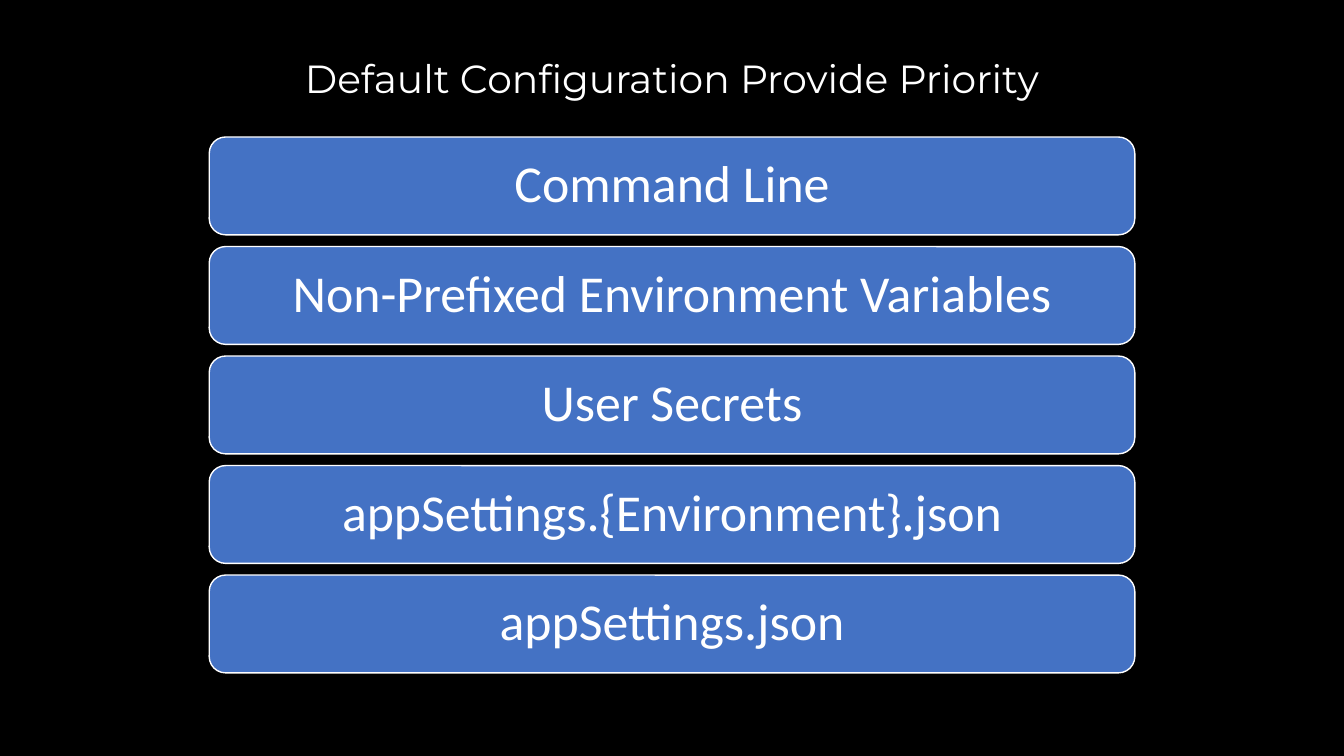
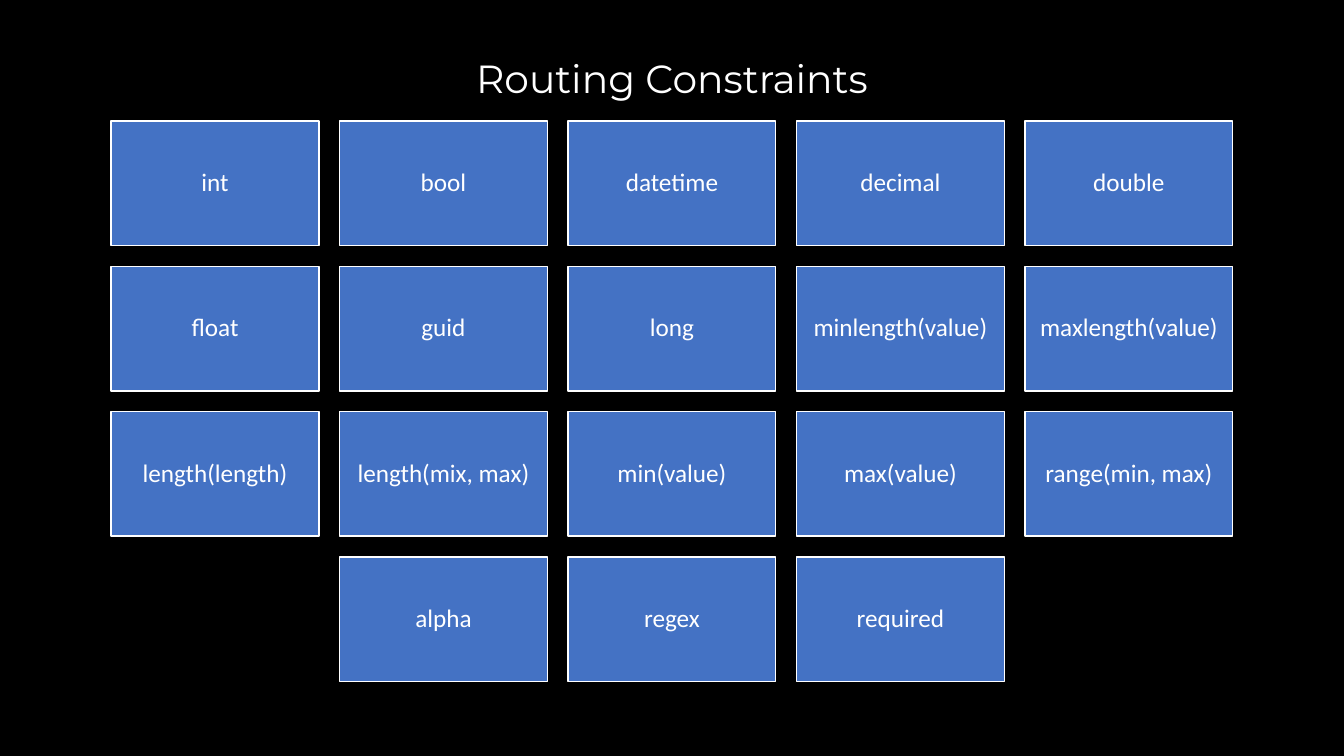
from dataclasses import dataclass

from pptx import Presentation
from pptx.dml.color import RGBColor
from pptx.enum.shapes import MSO_SHAPE
from pptx.enum.text import MSO_ANCHOR, PP_ALIGN
from pptx.util import Inches, Pt

WIDE, HIGH = 13.33, 7.5


# Colours, fonts and type sizes
@dataclass(frozen=True)
class Theme:
    back: RGBColor = RGBColor(0x00, 0x00, 0x00)
    box: RGBColor = RGBColor(0x44, 0x72, 0xC4)
    ink: RGBColor = RGBColor(0xFF, 0xFF, 0xFF)
    head_font: str = "Montserrat"
    body_font: str = "Calibri"
    head: int = 28
    bar: int = 37
    tile: int = 18
    line: int = 1


THEME = Theme()

SOURCES = [
    ["Command Line"],
    ["Non-Prefixed Environment Variables"],
    ["User Secrets"],
    ["appSettings.{Environment}.json"],
    ["appSettings.json"],
]

RULES = [
    ["int", "bool", "datetime", "decimal", "double"],
    ["float", "guid", "long", "minlength(value)", "maxlength(value)"],
    ["length(length)", "length(mix, max)", "min(value)", "max(value)",
     "range(min, max)"],
    ["alpha", "regex", "required"],
]


def write(shape, text, font, size, inset):
    """Centre one line of text in a shape."""
    frame = shape.text_frame
    frame.text = text
    frame.word_wrap = True
    frame.vertical_anchor = MSO_ANCHOR.MIDDLE
    frame.margin_left = frame.margin_right = Inches(inset)
    frame.margin_top = frame.margin_bottom = Inches(inset)
    para = frame.paragraphs[0]
    para.alignment = PP_ALIGN.CENTER
    para.line_spacing = 0.9
    para.font.name = font
    para.font.size = Pt(size)
    para.font.color.rgb = THEME.ink


def add_page(deck, title):
    """Start a blank slide with a centred title."""
    page = deck.slides.add_slide(deck.slide_layouts[6])
    width = 11.5
    area = page.shapes.add_textbox(
        Inches((WIDE - width) / 2), Inches(0.4), Inches(width), Inches(0.8))
    write(area, title, THEME.head_font, THEME.head, 0.05)
    return page


def add_box(page, kind, place, text, size, inset):
    """Add one filled, outlined box with its label."""
    box = page.shapes.add_shape(kind, *map(Inches, place))
    box.shadow.inherit = False
    box.fill.solid()
    box.fill.fore_color.rgb = THEME.box
    box.line.color.rgb = THEME.ink
    box.line.width = Pt(THEME.line)
    write(box, text, THEME.body_font, size, inset)


def add_grid(page, rows, kind, top, width, height, gap, size, inset):
    """Lay out rows of equal boxes, each row centred on the slide."""
    for row, names in enumerate(rows):
        span = len(names) * (width + gap) - gap
        left = (WIDE - span) / 2
        y = top + row * (height + gap)
        for col, name in enumerate(names):
            x = left + col * (width + gap)
            add_box(page, kind, (x, y, width, height), name, size, inset)


def main():
    deck = Presentation()
    deck.slide_width, deck.slide_height = Inches(WIDE), Inches(HIGH)

    # Shared background
    fill = deck.slide_master.background.fill
    fill.solid()
    fill.fore_color.rgb = THEME.back

    # Configuration sources, highest priority first
    page = add_page(deck, "Default Configuration Provide Priority")
    high = 0.97
    add_grid(page, SOURCES, MSO_SHAPE.ROUNDED_RECTANGLE, top=1.36,
             width=9.18, height=high, gap=high * 0.12,
             size=THEME.bar, inset=0.15)

    # Routing constraints in five columns
    page = add_page(deck, "Routing Constraints")
    wide = 2.06
    add_grid(page, RULES, MSO_SHAPE.RECTANGLE, top=1.2,
             width=wide, height=wide * 0.6, gap=wide * 0.1,
             size=THEME.tile, inset=0.07)

    deck.save("out.pptx")


if __name__ == "__main__":
    main()
